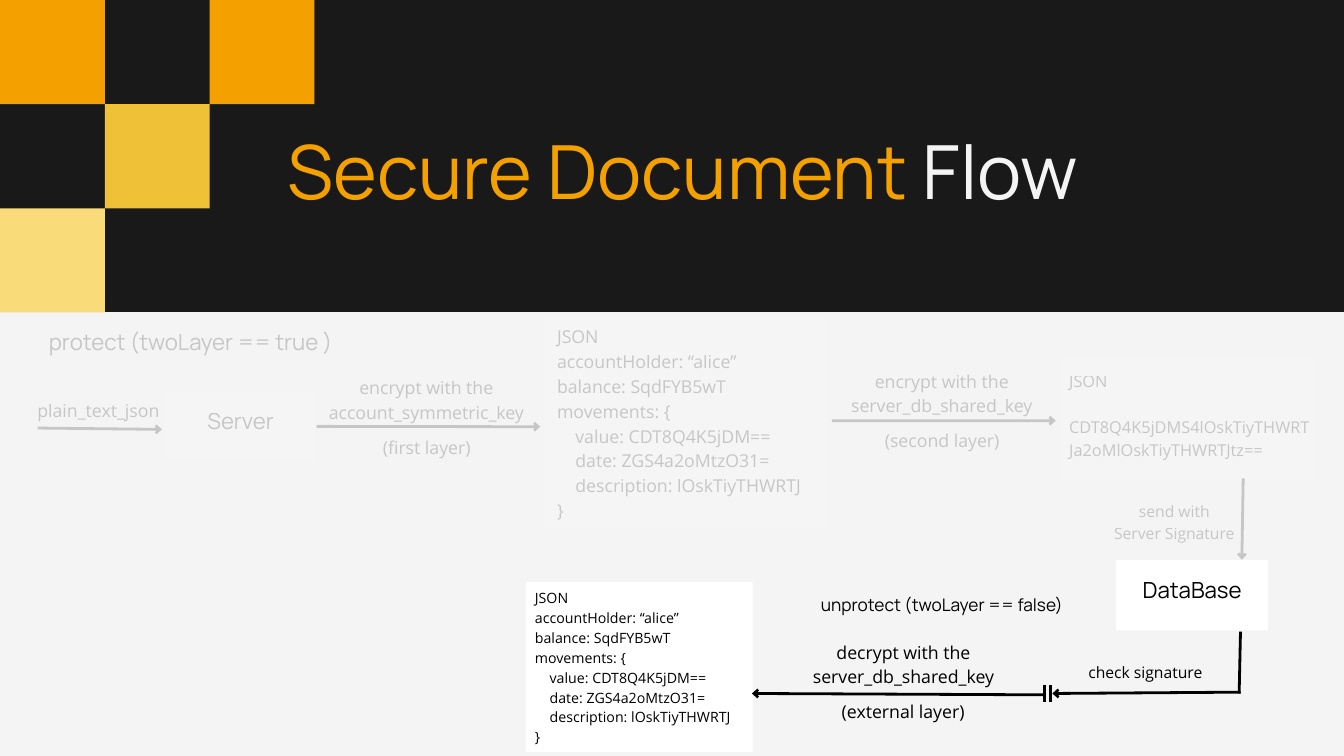
from pptx import Presentation
from pptx.dml.color import RGBColor
from pptx.enum.shapes import MSO_CONNECTOR, MSO_SHAPE
from pptx.enum.text import MSO_ANCHOR, PP_ALIGN
from pptx.oxml.ns import qn
from pptx.util import Inches, Pt
from lxml.etree import SubElement

BLACK = RGBColor(0x00, 0x00, 0x00)
WHITE = RGBColor(0xFF, 0xFF, 0xFF)
CHARCOAL = RGBColor(0x19, 0x19, 0x19)
PAPER = RGBColor(0xF4, 0xF4, 0xF4)
ORANGE = RGBColor(0xF4, 0xA1, 0x00)
GOLD = RGBColor(0xEF, 0xC1, 0x36)
CREAM = RGBColor(0xFA, 0xDB, 0x7A)
HEADING_FONT, BODY_FONT = "Manrope", "Open Sans"
LEFT, CENTER = PP_ALIGN.LEFT, PP_ALIGN.CENTER
TOP, MIDDLE = MSO_ANCHOR.TOP, MSO_ANCHOR.MIDDLE


def fade(shape):
    """Make every colour of a finished shape 18 % opaque."""
    for color in shape._element.iter(qn("a:srgbClr")):
        SubElement(color, qn("a:alpha")).set("val", "18000")


def write(shape, lines, font, size, spacing, align, anchor=TOP, insets=(0, 0, 0, 0)):
    """Fill a shape with one paragraph per line; insets are left, top, right, bottom."""
    frame = shape.text_frame
    frame.word_wrap = True
    frame.vertical_anchor = anchor
    frame.margin_left, frame.margin_top, frame.margin_right, frame.margin_bottom = map(Inches, insets)
    for index, line in enumerate(lines):
        paragraph = frame.add_paragraph() if index else frame.paragraphs[0]
        paragraph.text = line
        paragraph.alignment = align
        paragraph.line_spacing = Pt(spacing)
        paragraph.font.name = font
        paragraph.font.size = Pt(size)
        paragraph.font.color.rgb = BLACK


presentation = Presentation()
presentation.slide_width, presentation.slide_height = Inches(20), Inches(11.25)
slide = presentation.slides.add_slide(presentation.slide_layouts[6])
slide.background.fill.solid()
slide.background.fill.fore_color.rgb = PAPER
shapes = slide.shapes

# Header band and its checkerboard
TILE_WIDTH, TILE_HEIGHT = 1.56, 1.55
tiles = [(0, 2, CREAM), (0, 0, ORANGE), (1, 1, GOLD), (2, 0, ORANGE)]
blocks = [(0, 0, 20, 4.64, CHARCOAL)]
blocks += [(column * TILE_WIDTH, row * TILE_HEIGHT, TILE_WIDTH, TILE_HEIGHT, color)
           for column, row, color in tiles]
for left, top, width, height, color in blocks:
    block = shapes.add_shape(MSO_SHAPE.RECTANGLE, Inches(left), Inches(top), Inches(width), Inches(height))
    block.shadow.inherit = False
    block.fill.solid()
    block.fill.fore_color.rgb = color
    block.line.fill.background()

title = shapes.add_textbox(Inches(4.28), Inches(1.86), Inches(14.97), Inches(1.43))
write(title, [""], HEADING_FONT, 80, 96, LEFT)
for text, color in [("Secure Document", ORANGE), (" Flow", PAPER)]:
    run = title.text_frame.paragraphs[0].add_run()
    run.text = text
    run.font.color.rgb = color

# Boxes: faded ones belong to the protect step
document = [
    "JSON", "accountHolder: “alice”", "balance: SqdFYB5wT", "movements: {",
    "    value: CDT8Q4K5jDM==", "    date: ZGS4a2oMtzO31=",
    "    description: lOskTiyTHWRTJ", "}",
]
encrypted = ["JSON", "CDT8Q4K5jDMS4lOskTiyTHWRTJa2oMlOskTiyTHWRTJtz=="]
node_style = (HEADING_FONT, 23.8, 30.9, CENTER, MIDDLE, (0.06, 0.06, 0.06, 0.26))
boxes = [
    ("server", 2.45, 5.82, 2.26, 1.05, True, ["Server"], node_style),
    ("protected", 8.11, 4.71, 4.2, 3.16, True, document,
     (BODY_FONT, 19, 26.6, LEFT, TOP, (0.18, 0.09, 0.12, 0))),
    ("encrypted", 15.76, 5.3, 3.82, 1.84, True, encrypted,
     (BODY_FONT, 17.5, 24.5, LEFT, TOP, (0.15, 0.18, 0.08, 0))),
    ("database", 16.61, 8.33, 2.26, 1.05, False, ["DataBase"], node_style),
    ("unprotected", 7.83, 8.66, 3.37, 2.53, False, document,
     (BODY_FONT, 15.2, 21.3, LEFT, TOP, (0.13, 0.07, 0.1, 0))),
]
box_shapes = {}
for name, left, top, width, height, faded, lines, style in boxes:
    box = shapes.add_shape(MSO_SHAPE.RECTANGLE, Inches(left), Inches(top), Inches(width), Inches(height))
    box.shadow.inherit = False
    box.fill.solid()
    box.fill.fore_color.rgb = WHITE
    box.line.fill.background()
    write(box, lines, *style)
    if name == "encrypted":
        box.text_frame.paragraphs[1].space_before = Pt(24.5)
    if faded:
        fade(box)
    box_shapes[name] = box

# Labels
step_style = (BODY_FONT, 19, 26.6, CENTER)
signature_style = (BODY_FONT, 16.8, 23.6, CENTER)
labels = [
    (0.55, 4.85, 4.57, 0.45, True, ["protect (twoLayer == true )"], (HEADING_FONT, 23.8, 30.9, CENTER)),
    (0.55, 5.9, 1.83, 0.35, True, ["plain_text_json"], step_style),
    (4.71, 5.56, 3.27, 0.72, True, ["encrypt with the", "account_symmetric_key"], step_style),
    (5.29, 6.44, 2.12, 0.35, True, ["(first layer)"], step_style),
    (12.38, 5.46, 3.27, 0.72, True, ["encrypt with the", "server_db_shared_key"], step_style),
    (12.96, 6.34, 2.12, 0.35, True, ["(second layer)"], step_style),
    (16.17, 7.42, 2.61, 0.64, True, ["send with", "Server Signature"], signature_style),
    (12.04, 8.81, 3.95, 0.35, False, ["unprotect (twoLayer == false)"], (HEADING_FONT, 18.5, 24.1, CENTER)),
    (15.66, 9.82, 2.77, 0.32, False, ["check signature"], signature_style),
    (11.81, 9.49, 3.27, 0.72, False, ["decrypt with the", "server_db_shared_key"], step_style),
    (12.38, 10.37, 2.12, 0.35, False, ["(external layer)"], step_style),
]
for left, top, width, height, faded, lines, style in labels:
    label = shapes.add_textbox(Inches(left), Inches(top), Inches(width), Inches(height))
    write(label, lines, *style)
    if faded:
        fade(label)

# Lines: start, end, faded, arrowhead, box joined at the start
lines = [
    (0.56, 6.37, 2.41, 6.39, True, True, None),
    (4.71, 6.35, 8.04, 6.35, True, True, "server"),
    (12.38, 6.26, 15.71, 6.26, True, True, None),
    (18.5, 7.12, 18.48, 8.33, True, True, None),
    (18.46, 9.4, 18.44, 10.32, False, False, None),
    (18.46, 10.3, 15.66, 10.32, False, True, None),
    (15.54, 10.34, 11.19, 10.32, False, True, None),
    (15.54, 10.19, 15.54, 10.45, False, False, None),
    (15.63, 10.19, 15.63, 10.45, False, False, None),
]
for start_x, start_y, end_x, end_y, faded, arrowhead, source in lines:
    connector = shapes.add_connector(
        MSO_CONNECTOR.STRAIGHT, Inches(start_x), Inches(start_y), Inches(end_x), Inches(end_y))
    if source:
        connector.begin_connect(box_shapes[source], 3)
    connector.line.width = Pt(3)
    connector.line.color.rgb = BLACK
    if arrowhead:
        head = SubElement(connector.line._get_or_add_ln(), qn("a:tailEnd"))
        head.set("type", "arrow")
        head.set("w", "med")
        head.set("len", "sm")
    SubElement(connector._element.spPr, qn("a:effectLst"))
    if faded:
        fade(connector)

presentation.save("out.pptx")
